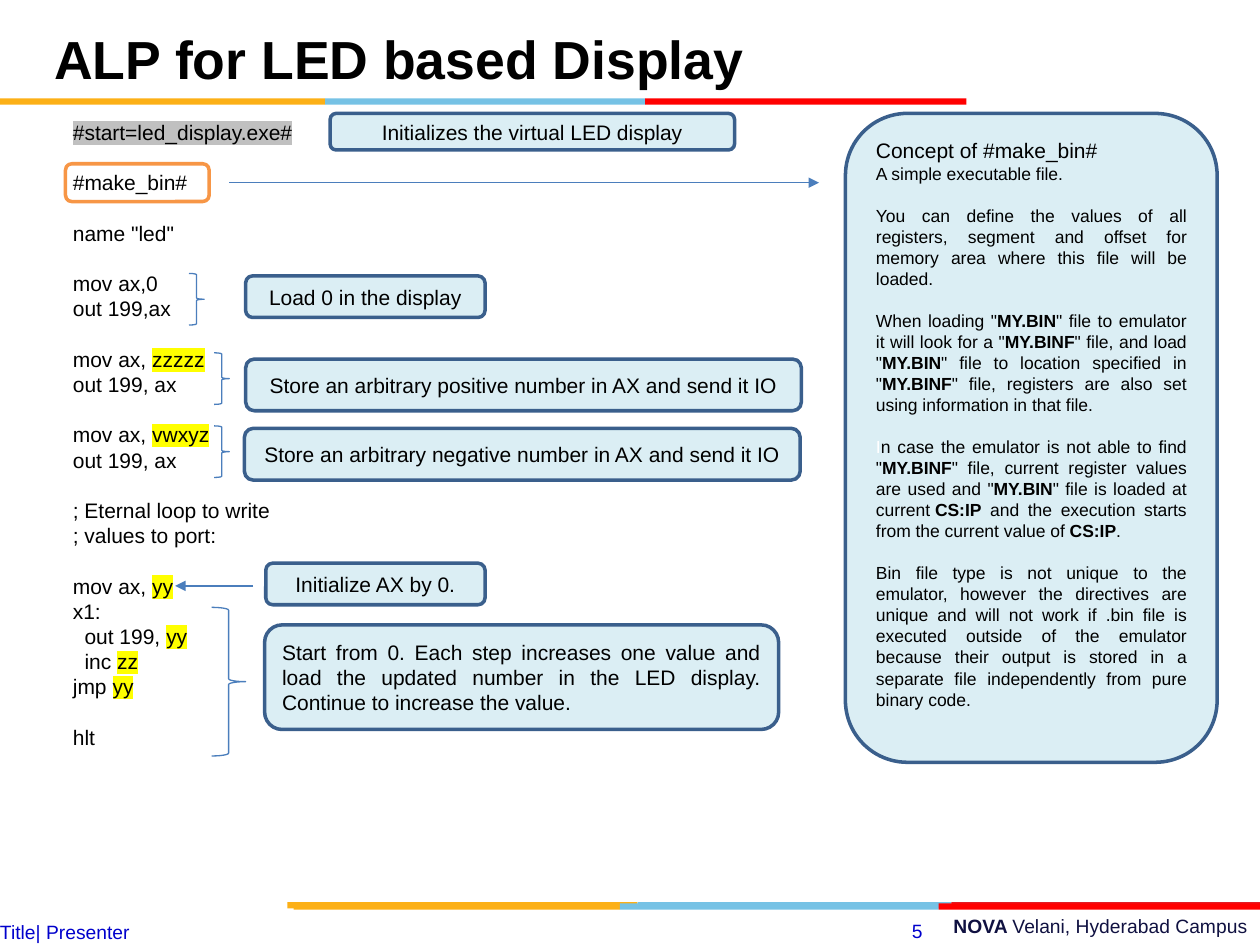
from dataclasses import dataclass
from lxml.etree import SubElement
from pptx import Presentation
from pptx.dml.color import RGBColor
from pptx.enum.shapes import MSO_CONNECTOR, MSO_SHAPE
from pptx.enum.text import MSO_ANCHOR, PP_ALIGN
from pptx.oxml.ns import qn
from pptx.util import Inches, Pt


@dataclass(frozen=True)
class Theme:
    """Colours, type sizes and the grid cell of the slide."""
    font: str = "Arial"
    ink: str = "000000"
    white: str = "FFFFFF"
    pale: str = "DBEEF4"
    edge: str = "3A5F8C"
    thin: str = "4B7EBC"
    ring: str = "F79646"
    link: str = "0000CC"
    navy: str = "101141"
    grey: str = "C0C0C0"
    glow: str = "FFFF00"
    head: float = 30.6
    main: float = 12
    foot: float = 11
    note: float = 10
    lead: float = 1.2
    cell: int = Inches(0.1)


T = Theme()
BANDS = ("FCB017", "76C2E5", "FF0000")
BASE = ("FCB017", "76C2E5", "E31C24")

CODE = (
    ("|#start=led_display.exe#",),
    ("#make_bin#",),
    ('name "led"',),
    ("mov ax,0", "out 199,ax"),
    ("mov ax, |zzzzz", "out 199, ax"),
    ("mov ax, |vwxyz", "out 199, ax"),
    ("; Eternal loop to write", "; values to port:"),
    ("mov ax, |yy", "x1:", ">out 199, |yy", ">inc |zz", "jmp |yy"),
    ("hlt",),
)
CALLS = (
    ("Initializes the virtual LED display", (26.2, 9, 32.1, 2.9)),
    ("Store an arbitrary positive number in AX and send it IO", (19.5, 28.5, 44.1, 4.1)),
    ("Load 0 in the display", (19.5, 21.9, 19, 3.3)),
    ("Store an arbitrary negative number in AX and send it IO", (19.4, 34, 44.1, 4.1)),
    ("Initialize AX by 0.", (21.1, 44.7, 17.4, 3.3)),
)
STEP = ("Start from 0. Each step increases one value and load the updated number "
        "in the LED display. Continue to increase the value.")
BRACES = ((16.8, 48.2, 2.7, 11.8), (15, 21.7, 1.2, 4.1),
          (17, 28, 1.2, 4.1), (17, 33.8, 1.2, 4.1))
NOTES = (
    "You can define the values of all registers, segment and offset for memory area "
    "where this file will be loaded.",
    'When loading "|MY.BIN|" file to emulator it will look for a "|MY.BINF|" file, and load '
    '"|MY.BIN|" file to location specified in "|MY.BINF|" file, registers are also set using '
    "information in that file.",
    '^n case the emulator is not able to find "|MY.BINF|" file, current register values are '
    'used and "|MY.BIN|" file is loaded at current\u00a0|CS:IP| and the execution starts from '
    "the current value of |CS:IP|.",
    "Bin file type is not unique to the emulator, however the directives are unique and will "
    "not work if .bin file is executed outside of the emulator because their output is stored "
    "in a separate file independently from pure binary code.",
)


def spot(*cells):
    """Turn grid cells into slide lengths."""
    return [round(n * T.cell) for n in cells]


def add_run(para, text, size=T.main, tint=T.ink, bold=False, mark=None):
    """Add one styled run to a paragraph."""
    run = para.add_run()
    run.text = text
    font = run.font
    font.size, font.bold = Pt(size), bold
    font.color.rgb = RGBColor.from_string(tint)
    if mark:
        glow = SubElement(run._r.get_or_add_rPr(), qn("a:highlight"))
        SubElement(glow, qn("a:srgbClr"), val=mark)
    font.name = T.font


def add_runs(para, text, size=T.main, **odd):
    """Add runs split at bars, styling every second one."""
    for i, part in enumerate(text.split("|")):
        if part:
            add_run(para, part, size, **(odd if i % 2 else {}))


def next_para(frame, align=PP_ALIGN.LEFT, gap=0):
    """Return a fresh paragraph, using the empty first one if it is there."""
    first = frame.paragraphs[0]
    para = frame.add_paragraph() if first.runs else first
    para.alignment = align
    para.space_before = Pt(gap)
    return para


def add_box(slide, kind, place, fill=None, line=None, width=2):
    """Add a preset shape with plain fill and line."""
    box = slide.shapes.add_shape(kind, *spot(*place))
    box.shadow.inherit = False
    if fill:
        box.fill.solid()
        box.fill.fore_color.rgb = RGBColor.from_string(fill)
    else:
        box.fill.background()
    if line:
        box.line.color.rgb = RGBColor.from_string(line)
        box.line.width = Pt(width)
    else:
        box.line.fill.background()
    return box


def add_call(slide, place, text, align=PP_ALIGN.CENTER):
    """Add a pale rounded call-out."""
    frame = add_box(slide, MSO_SHAPE.ROUNDED_RECTANGLE, place, T.pale, T.edge).text_frame
    frame.word_wrap, frame.vertical_anchor = True, MSO_ANCHOR.MIDDLE
    add_run(next_para(frame, align), text)


def add_text(slide, place, pad=True):
    """Add a wrapping text box and return its frame."""
    frame = slide.shapes.add_textbox(*spot(*place)).text_frame
    frame.word_wrap = True
    if not pad:
        frame.margin_left = frame.margin_right = frame.margin_top = frame.margin_bottom = 0
    return frame


def add_bands(slide, top, stops, tints=BANDS):
    """Add a row of coloured bands between the stops."""
    for left, right, tint in zip(stops, stops[1:], tints):
        add_box(slide, MSO_SHAPE.RECTANGLE, (left, top, right - left, 0.5), tint)


def add_arrow(slide, start, end, row):
    """Add a level arrow along a row."""
    line = slide.shapes.add_connector(MSO_CONNECTOR.STRAIGHT, *spot(start, row, end, row))
    line.line.color.rgb = RGBColor.from_string(T.thin)
    line.line.width = Pt(0.75)
    SubElement(line.line._get_or_add_ln(), qn("a:tailEnd"), type="triangle")
    SubElement(line._element.spPr, qn("a:effectLst"))


def add_title(slide, text):
    """Place and fill the title."""
    title = slide.shapes.title
    title.left, title.top, title.width, title.height = spot(3.3, 2.4, 69.2, 5.4)
    frame = title.text_frame
    frame.word_wrap, frame.vertical_anchor = True, MSO_ANCHOR.MIDDLE
    para = next_para(frame)
    para.line_spacing = 0.8
    add_run(para, text, T.head, bold=True)


def add_foot(slide):
    """Add the footer bands and texts."""
    add_bands(slide, 71.6, (22.8, 50.6, 75.5, 100), BASE)
    add_bands(slide, 71.7, (23.3, 49.2, 74.5, 100))
    para = next_para(add_text(slide, (35.8, 72.1, 64.2, 2.9)), PP_ALIGN.RIGHT)
    add_run(para, "NOVA ", T.foot, T.navy, True)
    add_run(para, "Velani, Hyderabad Campus", T.foot, T.navy)
    page = next_para(add_text(slide, (66.7, 72.5, 7.5, 2.8)), PP_ALIGN.RIGHT)
    add_run(page, "5", T.foot, T.link)
    name = next_para(add_text(slide, (0, 73, 70, 1.9), False))
    add_run(name, "Title| Presenter", T.foot, T.link)


def add_code(slide):
    """Add the code listing, block by block."""
    frame = add_text(slide, (4.8, 9, 50.5, 53.5))
    for i, block in enumerate(CODE):
        for j, text in enumerate(block):
            para = next_para(frame, gap=T.main * T.lead if i and not j else 0)
            if text.startswith(">"):
                para._p.get_or_add_pPr().set("marL", str(Pt(6.67)))
            add_runs(para, text.lstrip(">"), mark=T.glow if i else T.grey)


def add_panel(slide):
    """Add the tall concept panel."""
    place = (67.1, 9, 29.5, 51.5)
    frame = add_box(slide, MSO_SHAPE.ROUNDED_RECTANGLE, place, T.pale, T.edge).text_frame
    frame.word_wrap, frame.vertical_anchor = True, MSO_ANCHOR.TOP
    add_run(next_para(frame, PP_ALIGN.JUSTIFY), "Concept of #make_bin#")
    add_run(next_para(frame, PP_ALIGN.JUSTIFY), "A simple executable file.", T.note)
    for text in NOTES:
        para = next_para(frame, PP_ALIGN.JUSTIFY, T.note * T.lead)
        if text.startswith("^"):
            add_run(para, "I", T.note, T.white)
        add_runs(para, text.lstrip("^"), T.note, bold=True)


def main():
    """Build and save the slide."""
    deck = Presentation()
    deck.slide_width, deck.slide_height = spot(100, 75)
    slide = deck.slides.add_slide(deck.slide_layouts[5])
    add_foot(slide)
    add_bands(slide, 7.8, (0, 25.8, 51.2, 76.7))
    add_title(slide, "ALP for LED based Display")
    add_code(slide)
    for text, place in CALLS:
        add_call(slide, place, text)
    add_call(slide, (21, 49.6, 40.8, 8.3), STEP, PP_ALIGN.JUSTIFY)
    for place in BRACES:
        add_box(slide, MSO_SHAPE.RIGHT_BRACE, place, line=T.thin, width=0.75)
    add_box(slide, MSO_SHAPE.ROUNDED_RECTANGLE, (5.2, 13, 11.4, 3), line=T.ring)
    add_panel(slide)
    add_arrow(slide, 20.1, 13.9, 46.5)
    add_arrow(slide, 18.2, 65, 14.5)
    deck.save("out.pptx")


if __name__ == "__main__":
    main()
